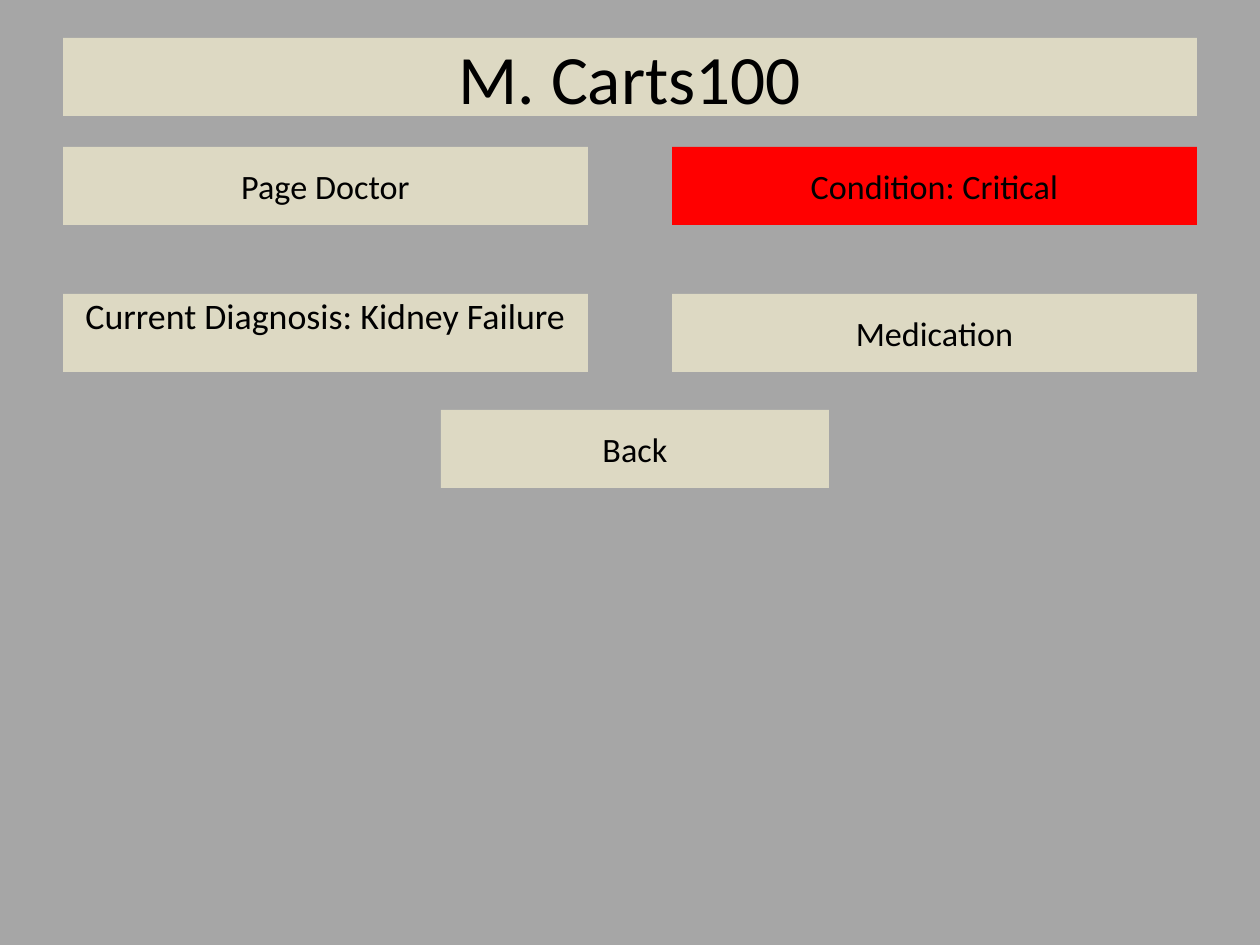
from pptx import Presentation
from pptx.dml.color import RGBColor
from pptx.enum.shapes import MSO_SHAPE
from pptx.enum.text import MSO_ANCHOR, MSO_AUTO_SIZE, PP_ALIGN
from pptx.util import Emu, Pt

RECT = MSO_SHAPE.RECTANGLE
TOP, MIDDLE = MSO_ANCHOR.TOP, MSO_ANCHOR.MIDDLE
CENTER = PP_ALIGN.CENTER
NO_FIT = MSO_AUTO_SIZE.NONE

GRAY = RGBColor(0xA6, 0xA6, 0xA6)
BEIGE = RGBColor(0xDD, 0xD9, 0xC3)
RED = RGBColor(0xFF, 0x00, 0x00)
BLACK = RGBColor(0x00, 0x00, 0x00)

FONT = "Calibri"
PX_PER_INCH = 126
BAR_H = 78


def px(n):
    """Convert pixels to EMU."""
    return Emu(round(n * 914400 / PX_PER_INCH))


def format_bar(sp, box, text, size, fill=BEIGE, anchor=MIDDLE):
    """Place a shape in its box and give it a fill and centred text."""
    sp.left, sp.top, sp.width, sp.height = map(px, box)
    sp.fill.solid()
    sp.fill.fore_color.rgb = fill
    tf = sp.text_frame
    tf.text = text
    tf.word_wrap = True
    tf.auto_size = NO_FIT
    tf.vertical_anchor = anchor
    tf.margin_top = tf.margin_bottom = 0
    p = tf.paragraphs[0]
    p.alignment = CENTER
    font = p.runs[0].font
    font.name, font.size, font.color.rgb = FONT, Pt(size), BLACK


def add_button(slide, box, text, size=19.5, fill=BEIGE, anchor=MIDDLE):
    """Add one flat rectangular button."""
    sp = slide.shapes.add_shape(RECT, *map(px, box))
    sp.shadow.inherit = False
    sp.line.fill.background()
    format_bar(sp, box, text, size, fill, anchor)


def add_button_grid(slide, left, top, width):
    """Add the two columns of patient buttons."""
    button_w, row_step = 525, 147
    right, second = left + width - button_w, top + row_step
    add_button(slide, (left, top, button_w, BAR_H), "Page Doctor")
    add_button(slide, (left, second, button_w, BAR_H),
               "Current Diagnosis: Kidney Failure", size=20.5, anchor=TOP)
    add_button(slide, (right, top, button_w, BAR_H),
               "Condition: Critical", fill=RED)
    add_button(slide, (right, second, button_w, BAR_H), "Medication")


def add_patient_slide(prs):
    """Add the patient slide with its title, grid and back button."""
    slide = prs.slides.add_slide(prs.slide_layouts[5])
    slide.background.fill.solid()
    slide.background.fill.fore_color.rgb = GRAY
    left, width = 63, 1134
    format_bar(slide.shapes.title, (left, 38, width, BAR_H),
               "M. Carts100", 39.6)
    add_button_grid(slide, left, 147, width)
    add_button(slide, (441, 410, 388, BAR_H), "Back")


def main():
    """Build and save the presentation."""
    prs = Presentation()
    prs.slide_width, prs.slide_height = px(1260), px(945)
    add_patient_slide(prs)
    prs.save("out.pptx")


if __name__ == "__main__":
    main()
